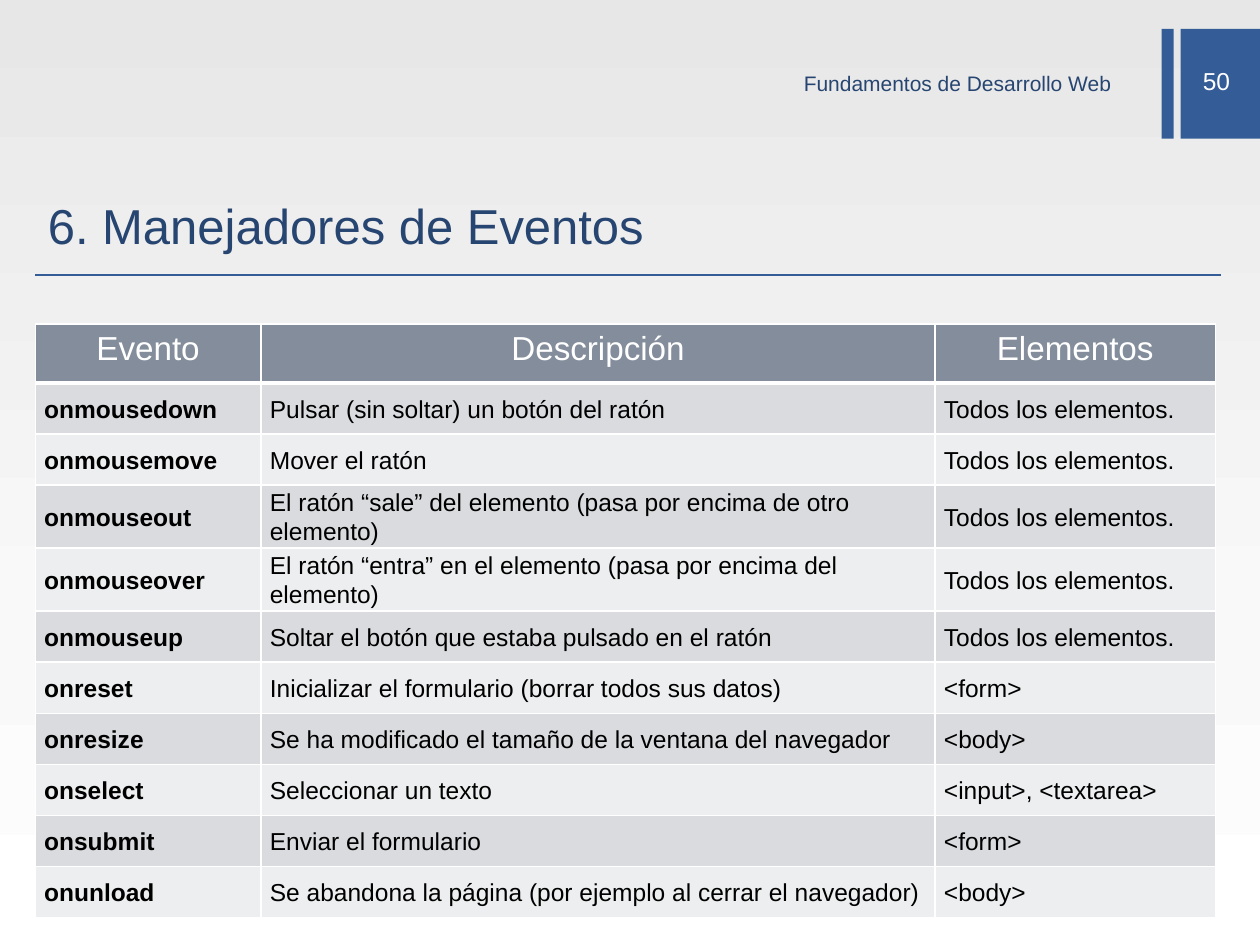
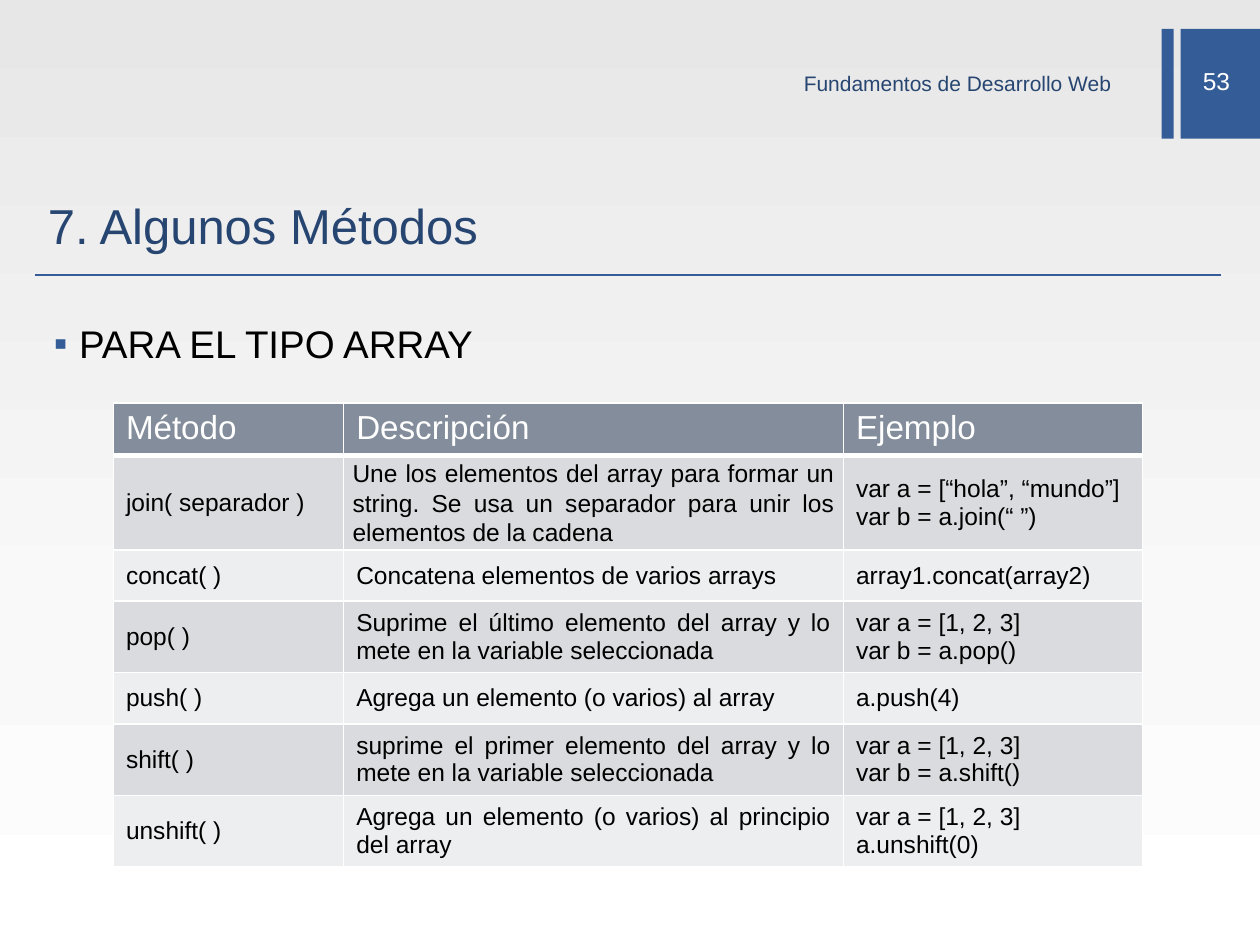
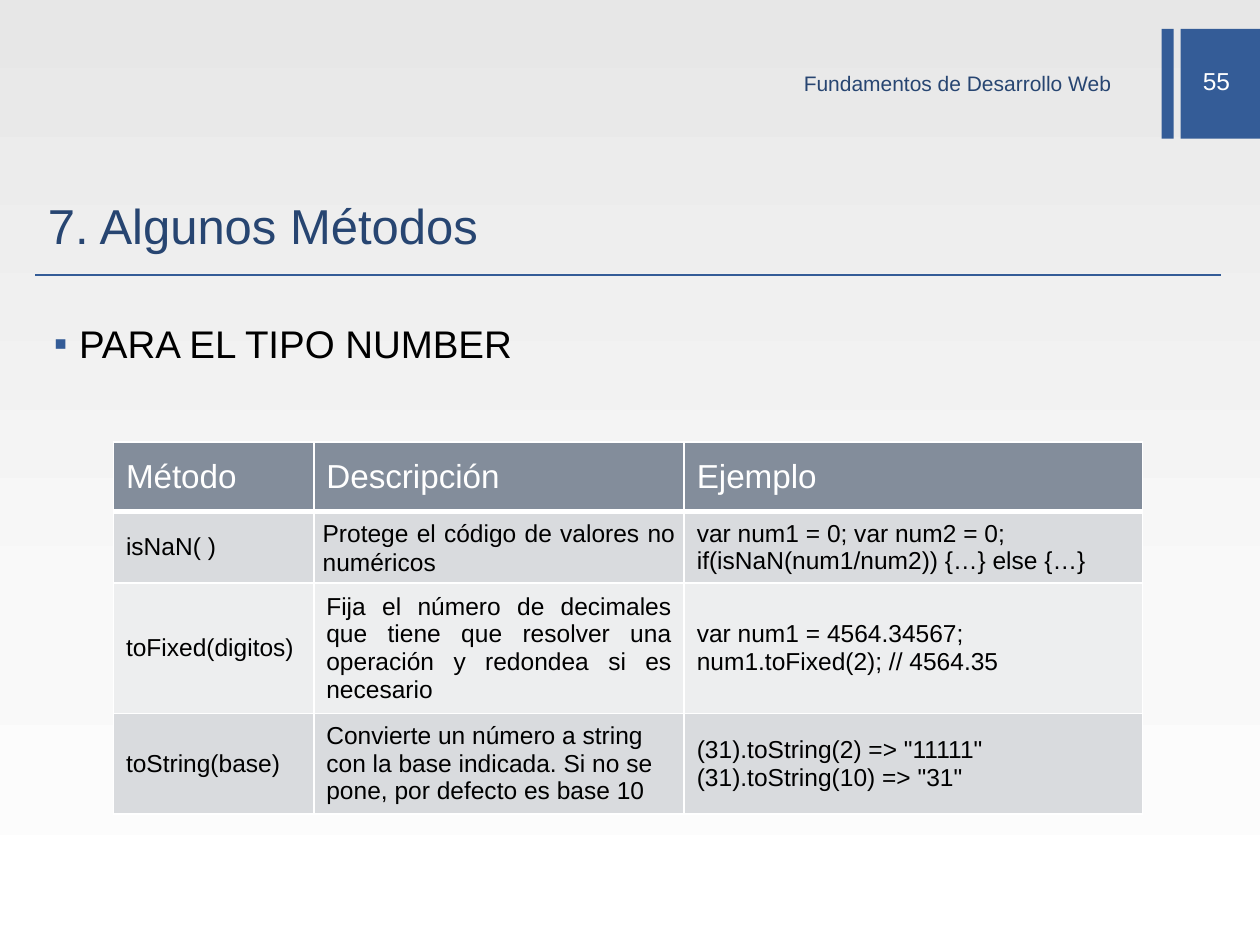
from dataclasses import dataclass, field, replace

from lxml import etree
from pptx import Presentation
from pptx.dml.color import RGBColor
from pptx.enum.shapes import MSO_CONNECTOR, MSO_SHAPE
from pptx.enum.text import MSO_ANCHOR, MSO_AUTO_SIZE, PP_ALIGN
from pptx.oxml.ns import qn
from pptx.presentation import Presentation as Deck
from pptx.slide import Slide
from pptx.table import _Cell
from pptx.text.text import TextFrame
from pptx.util import Length, Pt

LEFT, CENTER, RIGHT, JUSTIFY = PP_ALIGN.LEFT, PP_ALIGN.CENTER, PP_ALIGN.RIGHT, PP_ALIGN.JUSTIFY
TOP, MIDDLE = MSO_ANCHOR.TOP, MSO_ANCHOR.MIDDLE
NO_AUTOFIT = MSO_AUTO_SIZE.NONE
RECTANGLE = MSO_SHAPE.RECTANGLE
STRAIGHT = MSO_CONNECTOR.STRAIGHT

BLUE = RGBColor(0x34, 0x5C, 0x97)
NAVY = RGBColor(0x27, 0x45, 0x71)
SLATE = RGBColor(0x83, 0x8D, 0x9B)
ODD_ROW = RGBColor(0xD9, 0xDB, 0xDE)
EVEN_ROW = RGBColor(0xED, 0xEE, 0xEF)
WHITE = RGBColor(0xFF, 0xFF, 0xFF)
BLACK = RGBColor(0x00, 0x00, 0x00)
BACKGROUND_STOPS = (
    (0, RGBColor(0xE7, 0xE7, 0xE7)),
    (65, RGBColor(0xF9, 0xF9, 0xF9)),
    (100, WHITE),
)

FONT = "Arial"
COURSE = "Fundamentos de Desarrollo Web"
TITLE_ONLY = 5
MARGIN, CONTENT_WIDTH = Pt(20.16), Pt(677.52)
RULE_TOP = Pt(156.96)
ROW_HEIGHT = Pt(29.2)


@dataclass(frozen=True)
class Box:
    """Position and size of an element."""

    left: Length
    top: Length
    width: Length
    height: Length


@dataclass(frozen=True)
class CellStyle:
    """Text format of a table cell."""

    size: float = 14
    color: RGBColor = BLACK
    bold: bool = False
    align: PP_ALIGN = LEFT
    anchor: MSO_ANCHOR = MIDDLE
    tight: bool = False


@dataclass(frozen=True)
class TableContent:
    """Geometry, formats and wording of a table."""

    left: Length
    top: Length
    widths: tuple[float, ...]
    head_height: Length
    head_style: CellStyle
    column_styles: tuple[CellStyle, ...]
    rows: tuple[tuple[str, ...], ...]
    exceptions: dict[tuple[int, int], CellStyle] = field(default_factory=dict)


@dataclass(frozen=True)
class PageContent:
    """Everything that changes from page to page."""

    number: str
    title: str
    table: TableContent
    topic: str = ""


BANDS = (
    Box(Pt(663.84), Pt(16.56), Pt(6.84), Pt(62.64)),
    Box(Pt(674.64), Pt(16.56), Pt(45.36), Pt(62.64)),
)
NUMBER_BOX = Box(Pt(671.76), Pt(31.68), Pt(46.8), Pt(28.8))
COURSE_BOX = Box(Pt(358.56), Pt(37.44), Pt(283.68), Pt(23.76))
TITLE_BOX = Box(MARGIN, Pt(100.08), CONTENT_WIDTH, Pt(56.88))
TOPIC_BOX = Box(MARGIN, Pt(179.28), CONTENT_WIDTH, Pt(346))

PLAIN = CellStyle()
JUSTIFIED = CellStyle(align=JUSTIFY)
TIGHT = CellStyle(tight=True)
TIGHT_JUSTIFIED = replace(TIGHT, align=JUSTIFY)
EVENT_NAME = replace(TIGHT_JUSTIFIED, bold=True)
HEAD = CellStyle(size=19, color=WHITE, anchor=TOP)
METHOD_STYLES = (PLAIN, JUSTIFIED, PLAIN)

EVENTS = TableContent(
    MARGIN, Pt(185.04), (129, 385.2, 160.2), Pt(33.84),
    replace(HEAD, align=CENTER),
    (EVENT_NAME, TIGHT, TIGHT_JUSTIFIED),
    (
        ("Evento", "Descripción", "Elementos"),
        ("onmousedown", "Pulsar (sin soltar) un botón del ratón", "Todos los elementos."),
        ("onmousemove", "Mover el ratón", "Todos los elementos."),
        ("onmouseout", "El ratón “sale” del elemento (pasa por encima de otro elemento)",
         "Todos los elementos."),
        ("onmouseover", "El ratón “entra” en el elemento (pasa por encima del elemento)",
         "Todos los elementos."),
        ("onmouseup", "Soltar el botón que estaba pulsado en el ratón", "Todos los elementos."),
        ("onreset", "Inicializar el formulario (borrar todos sus datos)", "<form>"),
        ("onresize", "Se ha modificado el tamaño de la ventana del navegador", "<body>"),
        ("onselect", "Seleccionar un texto", "<input>, <textarea>"),
        ("onsubmit", "Enviar el formulario", "<form>"),
        ("onunload", "Se abandona la página (por ejemplo al cerrar el navegador)", "<body>"),
    ),
    {(row, 1): TIGHT_JUSTIFIED for row in (2, 8, 9)},
)

ARRAY_METHODS = TableContent(
    Pt(64.8), Pt(230.4), (131.6, 285.6, 171), ROW_HEIGHT, HEAD, METHOD_STYLES,
    (
        ("Método", "Descripción", "Ejemplo"),
        ("join( separador )",
         "Une los elementos del array para formar un string. "
         "Se usa un separador para unir los elementos de la cadena",
         "var a = [“hola”, “mundo”]\nvar b = a.join(“ ”)"),
        ("concat( )", "Concatena elementos de varios arrays", "array1.concat(array2)"),
        ("pop( )", "Suprime el último elemento del array y lo mete en la variable seleccionada",
         "var a = [1, 2, 3]\nvar b = a.pop()"),
        ("push( )", "Agrega un elemento (o varios) al array", "a.push(4)"),
        ("shift( )", "suprime el primer elemento del array y lo mete en la variable seleccionada",
         "var a = [1, 2, 3]\nvar b = a.shift()"),
        ("unshift( )", "Agrega un elemento (o varios) al principio del array",
         "var a = [1, 2, 3]\na.unshift(0)"),
    ),
    {(1, 1): TIGHT_JUSTIFIED},
)

NUMBER_METHODS = TableContent(
    Pt(64.8), Pt(252.72), (114.5, 211.7, 262), Pt(39.6),
    replace(HEAD, anchor=MIDDLE), METHOD_STYLES,
    (
        ("Método", "Descripción", "Ejemplo"),
        ("isNaN( )", "Protege el código de valores no numéricos",
         "var num1 = 0; var num2 = 0;\nif(isNaN(num1/num2)) {…} else {…}"),
        ("toFixed(digitos)",
         "Fija el número de decimales que tiene que resolver una operación "
         "y redondea si es necesario",
         "var num1 = 4564.34567;\nnum1.toFixed(2); // 4564.35"),
        ("toString(base)",
         "Convierte un número a string con la base indicada. "
         "Si no se pone, por defecto es base 10",
         '(31).toString(2) => "11111"\n(31).toString(10) => "31"'),
    ),
    {(1, 1): TIGHT_JUSTIFIED, (3, 1): PLAIN},
)

PAGES = (
    PageContent("50", "6. Manejadores de Eventos", EVENTS),
    PageContent("53", "7. Algunos Métodos", ARRAY_METHODS, "PARA EL TIPO ARRAY"),
    PageContent("55", "7. Algunos Métodos", NUMBER_METHODS, "PARA EL TIPO NUMBER"),
)


def write(frame: TextFrame, text: str, *, size: float, color: RGBColor,
          bold: bool = False, align: PP_ALIGN = LEFT, spacing: float | None = None) -> None:
    """Fill a text frame with one formatted paragraph per line of text."""
    for index, line in enumerate(text.split("\n")):
        para = frame.add_paragraph() if index else frame.paragraphs[0]
        para.alignment = align
        if spacing:
            para.line_spacing = spacing
        span = para.add_run()
        span.text = line
        span.font.name = FONT
        span.font.size = Pt(size)
        span.font.bold = bold
        span.font.color.rgb = color


def add_text(page: Slide, box: Box, text: str, *, anchor: MSO_ANCHOR = MIDDLE,
             **text_format) -> TextFrame:
    """Add a wrapping text box and return its frame."""
    frame = page.shapes.add_textbox(box.left, box.top, box.width, box.height).text_frame
    frame.word_wrap = True
    frame.vertical_anchor = anchor
    write(frame, text, **text_format)
    return frame


def set_background(deck: Deck) -> None:
    """Give the slide master its vertical gradient."""
    master = deck.slide_master
    fill = master.background.fill
    fill.gradient()
    fill.gradient_angle = 270
    stops = master.element.find(".//" + qn("a:gsLst"))
    for stop in list(stops):
        stops.remove(stop)
    for percent, color in BACKGROUND_STOPS:
        stop = etree.SubElement(stops, qn("a:gs"), pos=str(percent * 1000))
        etree.SubElement(stop, qn("a:srgbClr"), val=str(color))


def add_frame(page: Slide, number: str) -> None:
    """Draw the bands, page number, rule and course name."""
    for band in BANDS:
        shape = page.shapes.add_shape(RECTANGLE, band.left, band.top, band.width, band.height)
        shape.shadow.inherit = False
        shape.fill.solid()
        shape.fill.fore_color.rgb = BLUE
        shape.line.fill.background()
    add_text(page, NUMBER_BOX, number, size=14, color=WHITE, align=CENTER)
    rule = page.shapes.add_connector(
        STRAIGHT, MARGIN, RULE_TOP, MARGIN + CONTENT_WIDTH, RULE_TOP)
    rule.line.color.rgb = BLUE
    rule.line.width = Pt(1)
    etree.SubElement(rule.element.spPr, qn("a:effectLst"))
    course = add_text(page, COURSE_BOX, COURSE, size=12, color=NAVY, align=RIGHT)
    course.margin_top = Pt(0)


def set_title(page: Slide, text: str) -> None:
    """Move and format the title placeholder."""
    title = page.shapes.title
    title.left, title.top = TITLE_BOX.left, TITLE_BOX.top
    title.width, title.height = TITLE_BOX.width, TITLE_BOX.height
    frame = title.text_frame
    frame.auto_size = NO_AUTOFIT
    frame.word_wrap = True
    frame.vertical_anchor = MIDDLE
    write(frame, text, size=28, color=NAVY)


def add_topic(page: Slide, text: str) -> None:
    """Add the bulleted topic above a table."""
    frame = add_text(page, TOPIC_BOX, text, anchor=TOP, size=22, color=BLACK, align=JUSTIFY)
    para = frame.paragraphs[0]
    para.space_before = Pt(4.4)
    properties = para._p.get_or_add_pPr()
    properties.set("marL", str(Pt(18)))
    properties.set("indent", str(Pt(-14.4)))
    bullet_color = etree.SubElement(properties, qn("a:buClr"))
    etree.SubElement(bullet_color, qn("a:srgbClr"), val=str(BLUE))
    etree.SubElement(properties, qn("a:buFont"), typeface=FONT)
    etree.SubElement(properties, qn("a:buChar"), char="▪")


def set_borders(cell: _Cell, row: int) -> None:
    """Draw white cell borders, thicker between head and body."""
    widths = {"lnL": 1, "lnR": 1, "lnT": 3 if row == 1 else 1, "lnB": 3 if row == 0 else 1}
    properties = cell._tc.get_or_add_tcPr()
    for side, width in widths.items():
        line = etree.SubElement(properties, qn(f"a:{side}"), w=str(Pt(width)))
        fill = etree.SubElement(line, qn("a:solidFill"))
        etree.SubElement(fill, qn("a:srgbClr"), val=str(WHITE))


def fill_cell(cell: _Cell, text: str, style: CellStyle, color: RGBColor) -> None:
    """Write and format one table cell."""
    cell.fill.solid()
    cell.fill.fore_color.rgb = color
    cell.vertical_anchor = style.anchor
    if style.tight:
        cell.margin_left = cell.margin_right = Pt(5.1)
        cell.margin_top = cell.margin_bottom = Pt(0)
    write(cell.text_frame, text, size=style.size, color=style.color, bold=style.bold,
          align=style.align, spacing=1.07 if style.tight else None)


def add_table(page: Slide, content: TableContent) -> None:
    """Build a table with a head row and alternating body rows."""
    height = content.head_height + ROW_HEIGHT * (len(content.rows) - 1)
    table = page.shapes.add_table(
        len(content.rows), len(content.widths), content.left, content.top,
        Pt(sum(content.widths)), height).table
    table.horz_banding = False
    for column, width in zip(table.columns, content.widths):
        column.width = Pt(width)
    for row, texts in enumerate(content.rows):
        table.rows[row].height = ROW_HEIGHT if row else content.head_height
        color = (ODD_ROW if row % 2 else EVEN_ROW) if row else SLATE
        for column, text in enumerate(texts):
            base = content.column_styles[column] if row else content.head_style
            cell = table.cell(row, column)
            set_borders(cell, row)
            fill_cell(cell, text, content.exceptions.get((row, column), base), color)


def add_page(deck: Deck, content: PageContent) -> None:
    """Add one complete page to the deck."""
    page = deck.slides.add_slide(deck.slide_layouts[TITLE_ONLY])
    add_frame(page, content.number)
    set_title(page, content.title)
    if content.topic:
        add_topic(page, content.topic)
    add_table(page, content.table)


def main() -> None:
    """Build and save the deck."""
    deck = Presentation()
    deck.slide_width, deck.slide_height = Pt(720), Pt(540)
    set_background(deck)
    for content in PAGES:
        add_page(deck, content)
    deck.save("out.pptx")


if __name__ == "__main__":
    main()
